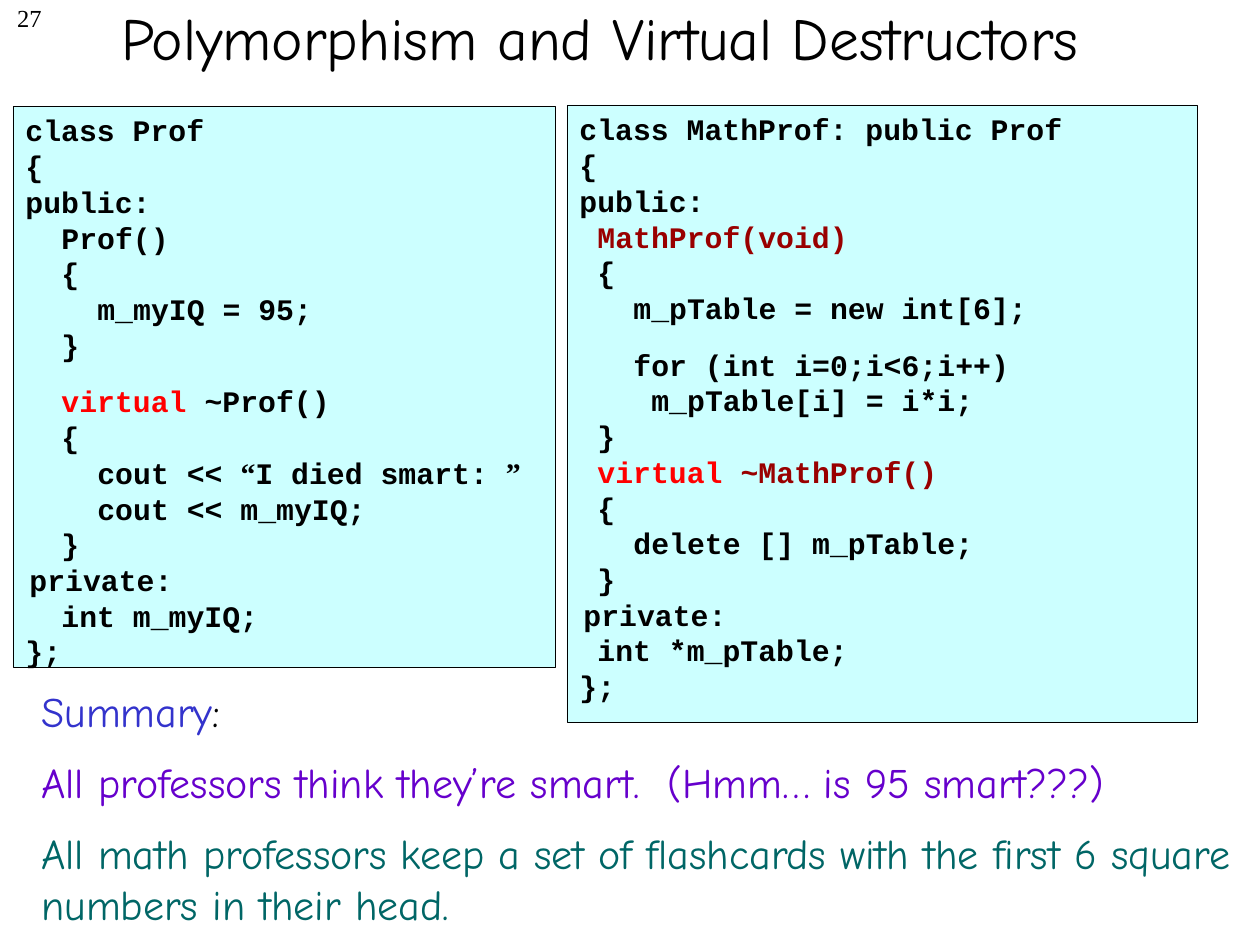
import pptx
import pptx.util
import pptx.dml.color
import pptx.enum.shapes
import pptx.enum.text

EMU_PER_PX = 914400 / 126
CHAR_PX = 18  # one column of 17 pt code
GAP_PT = 12   # space that separates blocks of text

COLORS = {
    "black": "000000", "panel": "CCFFFF", "keyword": "FF0000",
    "member": "990000", "summary": "3333CC", "purple": "6600CC",
    "teal": "006666",
}
CODE, HAND, SERIF = "Courier New", "Comic Neue", "Times New Roman"
ALIGN = pptx.enum.text.PP_ALIGN
ANCHOR = pptx.enum.text.MSO_ANCHOR


def px(length):
    return pptx.util.Emu(round(length * EMU_PER_PX))


def rgb(name):
    return pptx.dml.color.RGBColor.from_string(COLORS[name])


def line(*parts, indent=0, gap=0):
    """A paragraph: each part is a text, or a (text, color, font) tuple."""
    return parts, indent, gap


def code(columns, *parts, gap=0):
    return line(*parts, indent=columns * CHAR_PX, gap=gap)


def add_text(shapes, box, lines, font, size, bold=False,
             align=ALIGN.LEFT, anchor=ANCHOR.TOP):
    frame = shapes.add_textbox(*map(px, box)).text_frame
    frame.word_wrap = True
    frame.vertical_anchor = anchor
    for number, (parts, indent, gap) in enumerate(lines):
        paragraph = frame.paragraphs[0] if number == 0 else frame.add_paragraph()
        paragraph.alignment = align
        paragraph.space_before = pptx.util.Pt(gap)
        if indent:
            properties = paragraph._p.get_or_add_pPr()
            properties.set("marL", str(px(indent)))
            properties.set("indent", "0")
        for part in parts:
            text, color, face = (part, "black", font) if isinstance(part, str) else part
            run = paragraph.add_run()
            run.text = text
            run.font.name = face
            run.font.size = pptx.util.Pt(size)
            run.font.bold = bold
            run.font.color.rgb = rgb(color)


def add_heading(slide, box):
    left, top, width, height = box
    add_text(slide.shapes, (0, top + 39, 54, 63), [line("27")], SERIF, 14,
             align=ALIGN.RIGHT)
    add_text(slide.shapes, box, [line("Polymorphism and Virtual Destructors")],
             HAND, 34, align=ALIGN.CENTER, anchor=ANCHOR.MIDDLE)


def add_code_panel(slide, box, lines):
    left, top, width, height = box
    panel = slide.shapes.add_group_shape().shapes
    back = panel.add_shape(pptx.enum.shapes.MSO_SHAPE.RECTANGLE, *map(px, box))
    back.shadow.inherit = False
    back.fill.solid()
    back.fill.fore_color.rgb = rgb("panel")
    back.line.color.rgb = rgb("black")
    back.line.width = pptx.util.Pt(0.25)
    # The text area is a little wider than the panel, so that no line wraps
    add_text(panel, (left, top, width + 30, height), lines, CODE, 17, bold=True)


def add_summary(slide, box):
    add_text(slide.shapes, box, [
        line(("Summary", "summary", HAND), ":"),
        line(("All professors think they’re smart.  (Hmm… is 95 smart???)",
              "purple", HAND), gap=GAP_PT),
        line(("All math professors keep a set of flashcards with the first 6 "
              "square numbers in their head.", "teal", HAND), gap=GAP_PT),
    ], HAND, 24)


VIRTUAL = ("virtual ", "keyword", CODE)
PRIVATE = line("private:", indent=4)

PROF = [
    code(0, "class Prof"),
    code(0, "{"),
    code(0, "public:"),
    code(2, "Prof()"),
    code(2, "{"),
    code(4, "m_myIQ = 95;"),
    code(2, "}"),
    code(2, VIRTUAL, "~Prof()", gap=GAP_PT),
    code(2, "{"),
    code(4, "cout << ", ("“", "black", SERIF), "I died smart: ",
         ("”", "black", SERIF)),
    code(4, "cout << m_myIQ;"),
    code(2, "}"),
    PRIVATE,
    code(2, "int m_myIQ;"),
    code(0, "};"),
]

MATH_PROF = [
    code(0, "class MathProf: public Prof"),
    code(0, "{"),
    code(0, "public:"),
    code(1, ("MathProf(void)", "member", CODE)),
    code(1, "{"),
    code(3, "m_pTable = new int[6];"),
    code(3, "for (int i=0;i<6;i++)", gap=GAP_PT),
    code(4, "m_pTable[i] = i*i;"),
    code(1, "}"),
    code(1, VIRTUAL, ("~MathProf()", "member", CODE)),
    code(1, "{"),
    code(3, "delete [] m_pTable;"),
    code(1, "}"),
    PRIVATE,
    code(1, "int *m_pTable;"),
    code(0, "};"),
]


def main():
    deck = pptx.Presentation()
    deck.slide_width, deck.slide_height = px(1260), px(945)
    slide = deck.slides.add_slide(deck.slide_layouts[6])
    add_heading(slide, (13, -42, 1174, 158))
    add_code_panel(slide, (13, 106, 542, 561), PROF)
    add_code_panel(slide, (567, 105, 630, 617), MATH_PROF)
    add_summary(slide, (29, 679, 1221, 256))
    deck.save("out.pptx")


if __name__ == "__main__":
    main()
